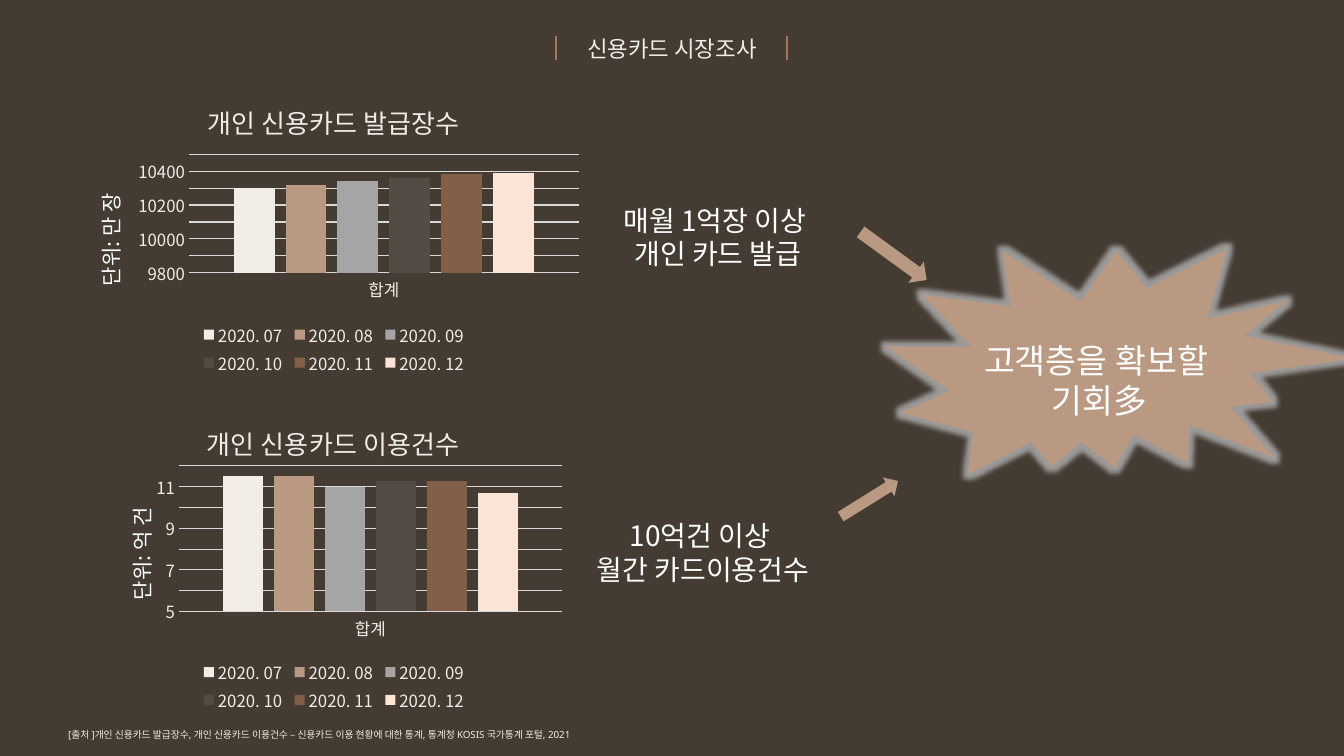
from dataclasses import dataclass

from lxml import etree
from pptx import Presentation
from pptx.chart.data import CategoryChartData
from pptx.dml.color import RGBColor
from pptx.enum.chart import XL_CHART_TYPE as ChartType, XL_LEGEND_POSITION as LegendPosition, XL_TICK_MARK as TickMark
from pptx.enum.shapes import MSO_CONNECTOR as Connector, MSO_SHAPE as Shape
from pptx.enum.text import PP_ALIGN as Align
from pptx.oxml.ns import qn
from pptx.util import Cm, Pt


@dataclass(frozen=True)
class Theme:
    background: str = "443B32"
    cream: str = "F1ECE6"
    white: str = "FFFFFF"
    tan: str = "B99981"
    divider: str = "A07759"
    grid: str = "D9D9D9"
    glow: str = "A5A5A5"
    bars: tuple = ("F1ECE6", "B99981", "A5A5A5", "554B45", "816047", "FBE5D6")
    latin: str = "Noto Sans"
    korean: str = "Noto Sans CJK KR"
    header: float = 16
    message: float = 20
    conclusion: float = 24
    chart_title: float = 18.6
    axis_title: float = 15
    label: float = 12
    source: float = 7


theme = Theme()


def write(frame, text, size, color=theme.white, font=theme.korean, align=Align.CENTER):
    for number, line in enumerate(text.split("\n")):
        paragraph = frame.add_paragraph() if number else frame.paragraphs[0]
        paragraph.alignment = align
        run = paragraph.add_run()
        run.text = line
        run.font.size = Pt(size)
        run.font.bold = False
        run.font.name = font
        run.font.color.rgb = RGBColor.from_string(color)
        latin = run.font._element.find(qn("a:latin"))
        latin.addnext(latin.makeelement(qn("a:ea"), typeface=theme.korean))


def place(element, index, **fractions):
    for old_layout in element.findall(qn("c:layout")):
        element.remove(old_layout)
    layout = element.makeelement(qn("c:layout"))
    manual = etree.SubElement(layout, qn("c:manualLayout"))
    if index == 0:
        etree.SubElement(manual, qn("c:layoutTarget"), val="inner")
    for mode in ("xMode", "yMode"):
        etree.SubElement(manual, qn(f"c:{mode}"), val="edge")
    for name, fraction in fractions.items():
        etree.SubElement(manual, qn(f"c:{name}"), val=str(fraction))
    element.insert(index, layout)


presentation = Presentation()
presentation.slide_width, presentation.slide_height = Cm(33.87), Cm(19.05)
slide = presentation.slides.add_slide(presentation.slide_layouts[6])
slide.background.fill.solid()
slide.background.fill.fore_color.rgb = RGBColor.from_string(theme.background)

decorations = [
    (Shape.EXPLOSION2, 22.35, 5.79, 11.61, 6.83, 11.1),
    (Shape.RIGHT_ARROW, 21.06, 12.29, 1.7, 0.56, 328.1),
    (Shape.RIGHT_ARROW, 21.49, 6.12, 2.06, 0.66, 36),
]
for preset, left, top, width, height, rotation in decorations:
    shape = slide.shapes.add_shape(preset, Cm(left), Cm(top), Cm(width), Cm(height))
    shape.rotation = rotation
    shape.shadow.inherit = False
    shape.fill.solid()
    shape.fill.fore_color.rgb = RGBColor.from_string(theme.tan)
    shape.line.fill.background()
    if preset == Shape.EXPLOSION2:
        effects = shape._element.spPr.find(qn("a:effectLst"))
        glow = etree.SubElement(effects, qn("a:glow"), rad=str(Cm(0.25)))
        glow_color = etree.SubElement(glow, qn("a:srgbClr"), val=theme.glow)
        etree.SubElement(glow_color, qn("a:alpha"), val="90000")

for left in (14.02, 19.84):
    divider = slide.shapes.add_connector(Connector.STRAIGHT, Cm(left), Cm(0.91), Cm(left), Cm(1.52))
    divider.line.color.rgb = RGBColor.from_string(theme.divider)
    divider.line.width = Pt(1.25)
    etree.SubElement(divider._element.spPr, qn("a:effectLst"))

months = [f"2020. {month:02}" for month in range(7, 13)]
charts = [
    dict(box=(1.85, 2.11, 13, 7.42), title="개인 신용카드 발급장수", unit="단위: 만 장",
         values=(10300, 10320, 10340, 10360, 10380, 10390), scale=(9800, 10500, 100), number_format="0",
         title_at=dict(x=0.25, y=0.04), unit_at=dict(x=0.03, y=0.36),
         plot_at=dict(x=0.224, y=0.239, w=0.756, h=0.404), legend_at=dict(x=0.24, y=0.8, w=0.53, h=0.2)),
    dict(box=(2.31, 9.93, 12.09, 8.13), title="개인 신용카드 이용건수", unit="단위: 억 건",
         values=(11.5, 11.5, 11, 11.3, 11.3, 10.7), scale=(5, 12, 1), number_format="General",
         title_at=dict(x=0.23, y=0.07), unit_at=dict(x=0.06, y=0.34),
         plot_at=dict(x=0.182, y=0.223, w=0.798, h=0.451), legend_at=dict(x=0.22, y=0.815, w=0.57, h=0.18)),
]
for content in charts:
    data = CategoryChartData(number_format=content["number_format"])
    data.categories = ["합계"]
    for month, value in zip(months, content["values"]):
        data.add_series(month, [value])
    box = [Cm(length) for length in content["box"]]
    chart = slide.shapes.add_chart(ChartType.COLUMN_CLUSTERED, *box, data).chart
    chart.font.name = theme.korean
    chart.font.size = Pt(theme.label)
    chart.font.color.rgb = RGBColor.from_string(theme.cream)

    plot = chart.plots[0]
    plot.gap_width = 219
    plot.overlap = -27
    plot.vary_by_categories = False
    for series, color in zip(plot.series, theme.bars):
        series.format.fill.solid()
        series.format.fill.fore_color.rgb = RGBColor.from_string(color)

    category_axis, value_axis = chart.category_axis, chart.value_axis
    value_axis.minimum_scale, value_axis.maximum_scale, value_axis.major_unit = content["scale"]
    value_axis.has_major_gridlines = True
    for line in (category_axis.format.line, value_axis.major_gridlines.format.line):
        line.color.rgb = RGBColor.from_string(theme.grid)
        line.width = Pt(0.75)
    value_axis.format.line.fill.background()
    value_axis.tick_labels.number_format = content["number_format"]
    value_axis.tick_labels.number_format_is_linked = False
    for axis in (category_axis, value_axis):
        axis.major_tick_mark = axis.minor_tick_mark = TickMark.NONE
        axis.tick_labels.font.name = theme.korean
        axis.tick_labels.font.size = Pt(theme.label)
        axis.tick_labels.font.color.rgb = RGBColor.from_string(theme.cream)

    chart.has_title = True
    write(chart.chart_title.text_frame, content["title"], theme.chart_title, color=theme.cream)
    place(chart.chart_title._element, 1, **content["title_at"])
    value_axis.has_title = True
    unit_title = value_axis.axis_title
    write(unit_title.text_frame, content["unit"], theme.axis_title)
    body = unit_title._element.find(".//" + qn("a:bodyPr"))
    body.set("rot", "-5400000")
    body.set("vert", "horz")
    place(unit_title._element, 1, **content["unit_at"])

    chart.has_legend = True
    chart.legend.position = LegendPosition.BOTTOM
    chart.legend.include_in_layout = False
    chart.legend.font.name = theme.korean
    chart.legend.font.size = Pt(theme.label)
    chart.legend.font.color.rgb = RGBColor.from_string(theme.cream)
    place(chart.legend._element, 1, **content["legend_at"])
    place(chart._chartSpace.find(".//" + qn("c:plotArea")), 0, **content["plot_at"])

small_print = dict(color=theme.cream, font=theme.latin)
source = ("[출처 ]개인 신용카드 발급장수, 개인 신용카드 이용건수 – "
          "신용카드 이용 현황에 대한 통계, 통계청 KOSIS 국가통계 포털, 2021")
texts = [
    ((14.27, 0.76, 5.33, 0.94), "신용카드 시장조사", theme.header, False, small_print),
    ((11.35, 5, 13.49, 1.96), "매월 1억장 이상 \n개인 카드 발급", theme.message, True, {}),
    ((9.25, 12.95, 16.94, 1.96), "10억건 이상 \n월간 카드이용건수", theme.message, True, {}),
    ((19.15, 8.43, 16.94, 2.31), "고객층을 확보할\n 기회多", theme.conclusion, True, {}),
    ((1.47, 18.24, 14.02, 0.56), source, theme.source, False, dict(small_print, align=Align.LEFT)),
]
for box, text, size, wrap, text_format in texts:
    frame = slide.shapes.add_textbox(*[Cm(length) for length in box]).text_frame
    frame.word_wrap = wrap
    write(frame, text, size, **text_format)

presentation.save("out.pptx")
